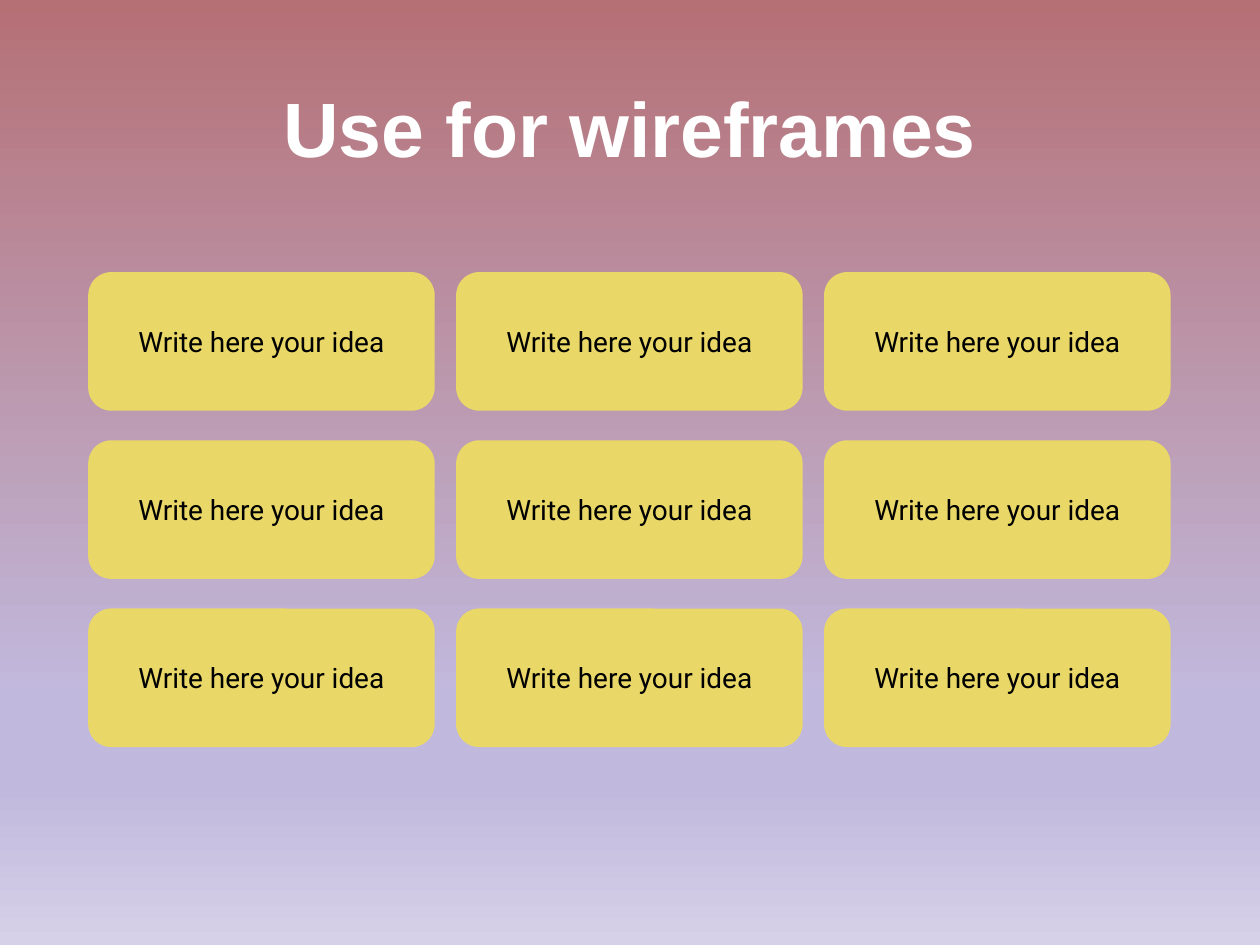
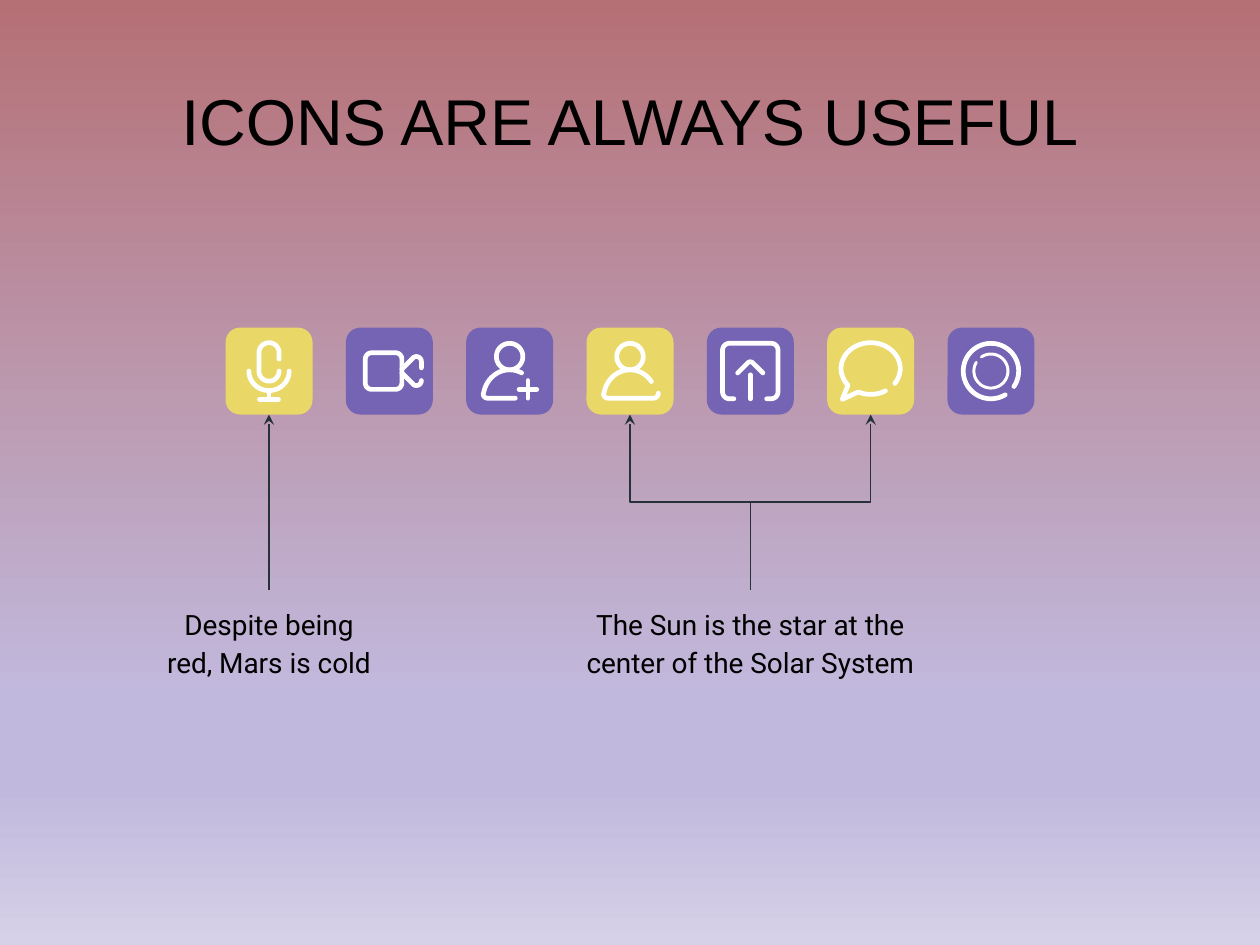
import copy
import math
from dataclasses import dataclass
from typing import Any

import pptx
import pptx.dml.color
import pptx.enum.dml
import pptx.enum.shapes
import pptx.enum.text
import pptx.oxml
import pptx.oxml.ns
import pptx.util

qn = pptx.oxml.ns.qn
SHAPES = pptx.enum.shapes.MSO_SHAPE
CONNECTORS = pptx.enum.shapes.MSO_CONNECTOR
ANCHOR = pptx.enum.text.MSO_ANCHOR
CENTER = pptx.enum.text.PP_ALIGN.CENTER

# The slide is a grid of 100 columns by 75 rows
COLUMNS, ROWS = 100, 75
UNIT = pptx.util.Inches(10) // COLUMNS
TOP_SIDE, BOTTOM_SIDE = 0, 2

Point = tuple[float, float]


@dataclass(frozen=True)
class Theme:
    yellow: str = "E9D868"
    purple: str = "7564B3"
    white: str = "FFFFFF"
    black: str = "000000"
    arrow: str = "263238"
    background: tuple = ((0, "B57075"), (0.74, "C1B9DD"), (0.83, "C1B9DD"), (1, "D6D0E8"))
    title_font: str = "Arial"
    body_font: str = "Roboto"
    body_size: float = 16
    arrow_weight: float = 0.75
    icon_weight: float = 2.7
    fine_weight: float = 1.7
    corner: float = 0.167


THEME = Theme()


@dataclass(frozen=True)
class Box:
    column: float
    row: float
    columns: float
    rows: float

    def lengths(self) -> list[int]:
        return [round(value * UNIT) for value in (self.column, self.row, self.columns, self.rows)]


@dataclass(frozen=True)
class Grid:
    first: Box
    column_pitch: float
    row_pitch: float = 0

    def cell(self, column: int, row: int = 0) -> Box:
        return Box(self.first.column + column * self.column_pitch,
                   self.first.row + row * self.row_pitch,
                   self.first.columns, self.first.rows)


@dataclass(frozen=True)
class Icon:
    color: str
    strokes: list[list[Point]]
    fine_strokes: tuple[list[Point], ...] = ()


@dataclass(frozen=True)
class Caption:
    text: str
    box: Box
    targets: tuple[int, ...]


TITLE_BOX = Box(3.4, 4.8, 93.2, 8.3)
CARD_GRID = Grid(Box(7, 21.6, 27.5, 11), 29.2, 13.35)
TILE_GRID = Grid(Box(17.9, 26, 6.9, 6.9), 9.55)


# Formatting helpers
def rgb(color: str) -> pptx.dml.color.RGBColor:
    return pptx.dml.color.RGBColor.from_string(color)


def set_all(target: Any, values: dict[str, Any]) -> None:
    for name, value in values.items():
        setattr(target, name, value)


def write_text(shape: Any, text: str, font: dict[str, Any], color: str = THEME.black,
               paragraph_format: dict[str, Any] | None = None, **frame_format: Any) -> None:
    frame = shape.text_frame
    margins = {f"margin_{side}": UNIT for side in ("left", "top", "right", "bottom")}
    set_all(frame, {"word_wrap": True, "auto_size": pptx.enum.text.MSO_AUTO_SIZE.NONE,
                    "vertical_anchor": ANCHOR.TOP} | margins | frame_format)
    frame.text = text
    paragraph = frame.paragraphs[0]
    set_all(paragraph, {"alignment": CENTER} | (paragraph_format or {}))
    run_font = paragraph.runs[0].font
    set_all(run_font, font)
    run_font.color.rgb = rgb(color)


BODY_FONT = {"name": THEME.body_font, "size": pptx.util.Pt(THEME.body_size)}


# Shared parts
def paint_background(master: Any) -> None:
    fill = master.background.fill
    fill.gradient()
    fill.gradient_angle = 270
    stop_list = master.element.find(".//" + qn("a:gsLst"))
    while len(stop_list) < len(THEME.background):
        stop_list.append(copy.deepcopy(stop_list[0]))
    for stop, (position, color) in zip(fill.gradient_stops, THEME.background):
        stop.position = position
        stop.color.rgb = rgb(color)


def add_titled_slide(presentation: Any, title: str, size: float, color: str, bold: bool) -> Any:
    slide = presentation.slides.add_slide(presentation.slide_layouts[5])
    shape = slide.shapes.title
    set_all(shape, dict(zip(("left", "top", "width", "height"), TITLE_BOX.lengths())))
    font = {"name": THEME.title_font, "size": pptx.util.Pt(size), "bold": bold}
    write_text(shape, title, font, color, margin_top=round(1.6 * UNIT))
    return slide


def add_rounded(slide: Any, box: Box, color: str) -> Any:
    shape = slide.shapes.add_shape(SHAPES.ROUNDED_RECTANGLE, *box.lengths())
    shape.adjustments[0] = THEME.corner
    shape.shadow.inherit = False
    shape.fill.solid()
    shape.fill.fore_color.rgb = rgb(color)
    shape.line.fill.background()
    return shape


# Icon strokes, in tenths of a grid unit from the middle of the tile
def arc(x: float, y: float, radius_x: float, radius_y: float,
        start: float, end: float) -> list[Point]:
    """Points on an ellipse; 0 degrees is right and 90 is down."""
    steps = max(4, round(abs(end - start) / 6))
    angles = [math.radians(start + (end - start) * step / steps) for step in range(steps + 1)]
    return [(x + radius_x * math.cos(angle), y + radius_y * math.sin(angle)) for angle in angles]


def rounded_frame(middle: float, half: float, radius: float) -> list[Point]:
    """Clockwise outline that starts at the lower left corner."""
    inner = half - radius
    corners = ((-inner, inner, 90), (-inner, -inner, 180), (inner, -inner, 270), (inner, inner, 360))
    return [point for x, y, start in corners
            for point in arc(middle + x, y, radius, radius, start, start + 90)]


def shoulders(start: float, base_end: float) -> list[Point]:
    return (arc(0, 21.5, 21, 22.5, start, -170) + arc(-17.5, 18, 3.5, 3.5, 180, 90)
            + [(base_end, 21.5)])


def lens(side: int) -> list[Point]:
    tip = [(10, -1.5)] + arc(21.5, -7.5, 4, 4, 240, 360)
    if side < 0:
        tip.append((25.5, -2.5))
    return [(x, -side * y) for x, y in tip]


HEAD = arc(0, -11.5, 10.5, 10.5, 0, 360)
CAMERA_BODY = rounded_frame(-4.5, 14.5, 5)

MICROPHONE = [
    [(8, -9.5)] + arc(0, -14.5, 8, 8, 360, 180) + arc(0, 0, 8, 8, 180, 0),
    arc(0, 0, 16, 15.5, 180, 0),
    [(0, 16), (0, 22.5)],
    [(-7.5, 22.5), (7.5, 22.5)],
]
CAMERA = [CAMERA_BODY + CAMERA_BODY[:1], lens(-1), lens(1)]
ADD_PERSON = [HEAD, shoulders(-63, 4.5), [(7.5, 14.5), (21.5, 14.5)], [(14.5, 7.5), (14.5, 21.5)]]
PERSON = [HEAD, shoulders(-36, 18.5) + arc(18.5, 17.5, 4, 4, 90, 0)]
SHARE = [
    [(-13, 22)] + rounded_frame(0, 22, 5.5) + [(13, 22)],
    [(-10, 1.5)] + arc(0, -4.5, 2.8, 2.8, 225, 315) + [(10, 1.5)],
    [(0, 3), (0, 22)],
]
CHAT = [arc(0, -2, 23.5, 20.5, 35, -220) + [(-22.5, 22.5)] + arc(0, -2, 23.5, 20.5, 115, 60)]
RING = [arc(0, 0, 22, 22, 59, 394)]
INNER_RING = arc(0, 0, 13.5, 13.5, -124, 211)

ICONS = [
    Icon(THEME.yellow, MICROPHONE),
    Icon(THEME.purple, CAMERA),
    Icon(THEME.purple, ADD_PERSON),
    Icon(THEME.yellow, PERSON),
    Icon(THEME.purple, SHARE),
    Icon(THEME.yellow, CHAT),
    Icon(THEME.purple, RING, (INNER_RING,)),
]

CAPTIONS = [
    Caption("Despite being red, Mars is cold", Box(12, 46.8, 18.7, 7.6), (0,)),
    Caption("The Sun is the star at the center of the Solar System",
            Box(44.6, 46.8, 29.9, 7.6), (3, 5)),
]


def add_strokes(slide: Any, tile: Box, strokes: Any, weight: float) -> None:
    middle_x, middle_y = tile.column + tile.columns / 2, tile.row + tile.rows / 2
    builder = None
    for stroke in strokes:
        points = [(round((middle_x + x / 10) * UNIT), round((middle_y + y / 10) * UNIT))
                  for x, y in stroke]
        if builder is None:
            builder = slide.shapes.build_freeform(*points[0])
        else:
            builder.move_to(*points[0])
        builder.add_line_segments(points[1:], close=False)
    shape = builder.convert_to_shape()
    shape.shadow.inherit = False
    shape.fill.background()
    shape.line.color.rgb = rgb(THEME.white)
    shape.line.width = pptx.util.Pt(weight)
    outline = shape.get_or_add_ln()
    outline.set("cap", "rnd")
    outline.append(pptx.oxml.parse_xml(f"<a:round {pptx.oxml.ns.nsdecls('a')}/>"))


def add_icon(slide: Any, tile: Box, icon: Icon) -> Any:
    shape = add_rounded(slide, tile, icon.color)
    add_strokes(slide, tile, icon.strokes, THEME.icon_weight)
    if icon.fine_strokes:
        add_strokes(slide, tile, icon.fine_strokes, THEME.fine_weight)
    return shape


# Arrows from captions up to tiles
def turn_upright(connector: Any, start_x: int, end_x: int, start_y: int, end_y: int) -> None:
    """Make an elbow leave and arrive vertically."""
    length, reach = start_y - end_y, abs(end_x - start_x)
    set_all(connector, {"left": (start_x + end_x - length) // 2,
                        "top": (start_y + end_y - reach) // 2,
                        "width": length, "height": reach})
    transform = connector.element.spPr.find(qn("a:xfrm"))
    leftward = end_x < start_x
    values = {"rot": str((90 if leftward else 270) * 60000),
              "flipH": str(int(leftward)), "flipV": "0"}
    for name, value in values.items():
        transform.set(name, value)


def add_arrow(slide: Any, caption: Any, tile: Any, straight: bool) -> None:
    start_x, end_x = caption.left + caption.width // 2, tile.left + tile.width // 2
    start_y, end_y = caption.top, tile.top + tile.height
    kind = CONNECTORS.STRAIGHT if straight else CONNECTORS.ELBOW
    connector = slide.shapes.add_connector(kind, start_x, start_y, end_x, end_y)
    connector.begin_connect(caption, TOP_SIDE)
    connector.end_connect(tile, BOTTOM_SIDE)
    if not straight:
        turn_upright(connector, start_x, end_x, start_y, end_y)
    connector.line.color.rgb = rgb(THEME.arrow)
    connector.line.width = pptx.util.Pt(THEME.arrow_weight)
    namespace = pptx.oxml.ns.nsdecls("a")
    connector.get_or_add_ln().append(pptx.oxml.parse_xml(f'<a:tailEnd {namespace} type="stealth"/>'))
    connector.element.spPr.append(pptx.oxml.parse_xml(f"<a:effectLst {namespace}/>"))


# Slides
def build_wireframes(presentation: Any) -> None:
    slide = add_titled_slide(presentation, "Use for wireframes", 44, THEME.white, True)
    for row in range(3):
        for column in range(3):
            card = add_rounded(slide, CARD_GRID.cell(column, row), THEME.yellow)
            write_text(card, "Write here your idea", BODY_FONT, vertical_anchor=ANCHOR.MIDDLE)


def build_icons(presentation: Any) -> None:
    slide = add_titled_slide(presentation, "ICONS ARE ALWAYS USEFUL", 37, THEME.black, False)
    tiles = [add_icon(slide, TILE_GRID.cell(index), icon) for index, icon in enumerate(ICONS)]
    spacing = {"line_spacing": 1.15, "space_after": pptx.util.Pt(16)}
    for caption in CAPTIONS:
        text_box = slide.shapes.add_textbox(*caption.box.lengths())
        write_text(text_box, caption.text, BODY_FONT, paragraph_format=spacing)
        for target in caption.targets:
            add_arrow(slide, text_box, tiles[target], straight=len(caption.targets) == 1)


def main() -> None:
    presentation = pptx.Presentation()
    presentation.slide_width, presentation.slide_height = COLUMNS * UNIT, ROWS * UNIT
    paint_background(presentation.slide_master)
    build_wireframes(presentation)
    build_icons(presentation)
    presentation.save("out.pptx")


if __name__ == "__main__":
    main()
